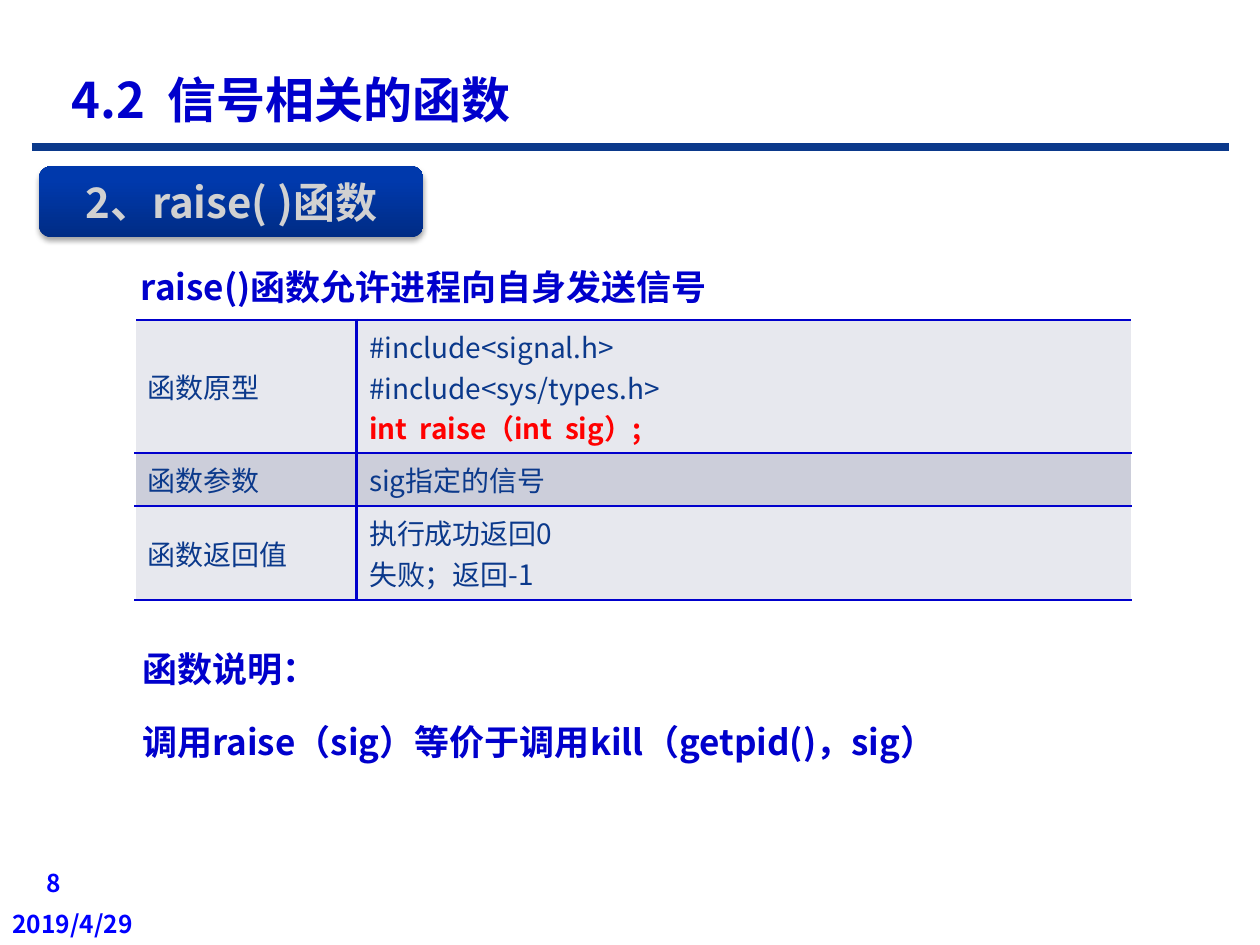
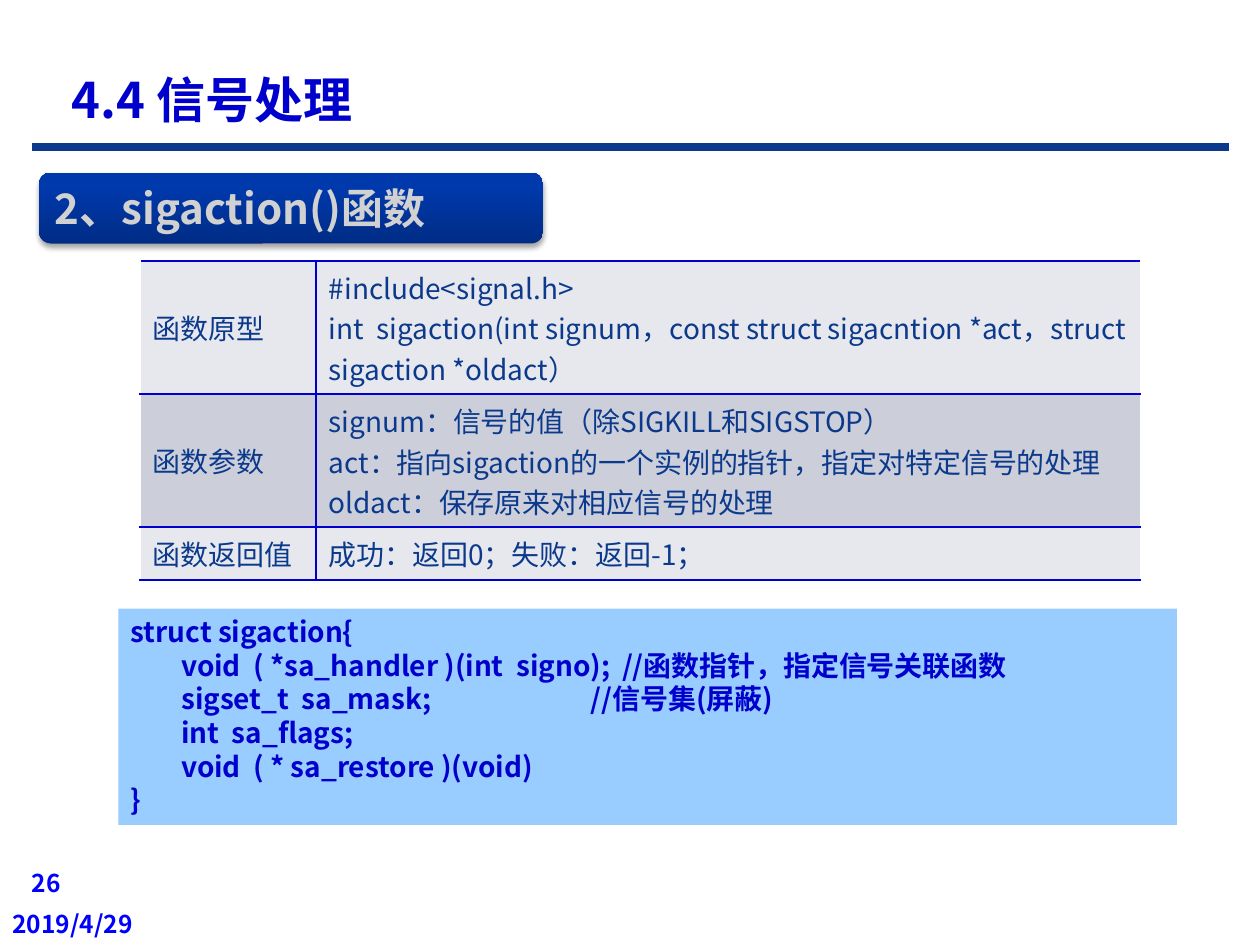
from lxml import etree
from pptx import Presentation
from pptx.dml.color import RGBColor
from pptx.enum.shapes import MSO_CONNECTOR, MSO_SHAPE
from pptx.enum.text import MSO_ANCHOR, PP_ALIGN
from pptx.oxml.ns import qn
from pptx.util import Inches, Pt

LEFT, CENTER, RIGHT = PP_ALIGN.LEFT, PP_ALIGN.CENTER, PP_ALIGN.RIGHT
TOP, MIDDLE, BOTTOM = MSO_ANCHOR.TOP, MSO_ANCHOR.MIDDLE, MSO_ANCHOR.BOTTOM
BODY_FONT, FOOTER_FONT = "Noto Sans CJK SC", "Noto Sans CJK JP"
COLORS = {
    "text": "0000CC", "footer": "0000FF", "navy": "0B398B",
    "badge_text": "D1D1D1", "badge_dark": "002C85", "badge_light": "0039AC",
    "alert": "FF0000", "row_odd": "E7E8EE", "row_even": "CCCEDA",
    "code": "99CCFF", "shadow": "000000",
}

prs = Presentation()
prs.slide_width, prs.slide_height = Inches(10), Inches(7.5)
W, H = prs.slide_width / 100, prs.slide_height / 100


def place(x, y, width, height):
    return [round(v) for v in (x * W, y * H, width * W, height * H)]


def write(frame, lines, size, color, bold=True, font=BODY_FONT, align=LEFT,
          anchor=TOP, wrap=True, spacing=None, before=None):
    frame.word_wrap = wrap
    frame.vertical_anchor = anchor
    for i, line in enumerate(lines):
        paragraph = frame.paragraphs[0] if i == 0 else frame.add_paragraph()
        paragraph.alignment = align
        if spacing:
            paragraph.line_spacing = spacing
            paragraph.space_before = Pt(before)
        run = paragraph.add_run()
        run.text = line
        run.font.size, run.font.bold, run.font.name = Pt(size), bold, font
        run.font.color.rgb = RGBColor.from_string(COLORS[color])
        etree.SubElement(run.font._element, qn("a:ea"), typeface=font)


RAISE_PROTOTYPE = "int  raise（int  sig）;"
topics = [
    {
        "number": "8", "title": "4.2  信号相关的函数",
        "badge": "2、raise( )函数", "badge_at": (3.1, 17.6, 30.5, 7.5),
        "badge_align": CENTER,
        "table_at": (10.7, 33.87), "columns": (17.6, 61.5), "rows": (14.1, 5.6, 9.9),
        "facts": [
            ("函数原型", ["#include<signal.h>", "#include<sys/types.h>", RAISE_PROTOTYPE]),
            ("函数参数", ["sig指定的信号"]),
            ("函数返回值", ["执行成功返回0", "失败；返回-1"]),
        ],
        "remarks": [
            ((10.2, 25.2, 56.8, 8.1), ["raise()函数允许进程向自身发送信号"]),
            ((10.3, 65.6, 70.1, 15.9),
             ["函数说明：", "调用raise（sig）等价于调用kill（getpid()，sig）"]),
        ],
        "code": [],
    },
    {
        "number": "26", "title": "4.4 信号处理",
        "badge": "2、sigaction()函数", "badge_at": (3.1, 18.27, 40, 7.5),
        "badge_align": LEFT,
        "table_at": (11.1, 27.6), "columns": (14, 65.4), "rows": (14.1, 14.1, 5.6),
        "facts": [
            ("函数原型", ["#include<signal.h>",
                      "int  sigaction(int signum，const struct sigacntion *act，"
                      "struct sigaction *oldact）"]),
            ("函数参数", ["signum：信号的值（除SIGKILL和SIGSTOP）",
                      "act：指向sigaction的一个实例的指针，指定对特定信号的处理",
                      "oldact：保存原来对相应信号的处理"]),
            ("函数返回值", ["成功：返回0；失败：返回-1；"]),
        ],
        "remarks": [],
        "code": [
            ("struct sigaction{", ()),
            ("\tvoid  ( *sa_handler )(int  signo);\t//函数指针，指定信号关联函数", (0.4, 3.9)),
            ("\tsigset_t  sa_mask;\t//信号集(屏蔽)", (0.4, 3.65)),
            ("\tint  sa_flags;", (0.4,)),
            ("\tvoid  ( * sa_restore )(void)", (0.4,)),
            ("}", ()),
        ],
    },
]

for topic in topics:
    slide = prs.slides.add_slide(prs.slide_layouts[6])
    shapes = slide.shapes

    date = shapes.add_textbox(*place(0, 95.6, 15, 4.4))
    write(date.text_frame, ["2019/4/29"], 14, "footer", font=FOOTER_FONT, anchor=BOTTOM)
    number = shapes.add_textbox(*place(0, 90, 5.8, 5.6))
    write(number.text_frame, [topic["number"]], 14, "footer", font=FOOTER_FONT,
          align=RIGHT, anchor=BOTTOM)

    x, y, length, _ = place(2.5, 15.6, 95, 0)
    title_rule = shapes.add_connector(MSO_CONNECTOR.STRAIGHT, x, y, x + length, y)
    title_rule.line.width = Pt(4.5)
    title_rule.line.color.rgb = RGBColor.from_string(COLORS["navy"])
    etree.SubElement(title_rule._element.spPr, qn("a:effectLst"))

    badge = shapes.add_shape(MSO_SHAPE.ROUNDED_RECTANGLE, *place(*topic["badge_at"]))
    badge.line.fill.background()
    badge.fill.gradient()
    badge.fill.gradient_angle = 90
    for stop, position, shade in zip(badge.fill.gradient_stops, (0, 0.8),
                                     ("badge_dark", "badge_light")):
        stop.position = position
        stop.color.rgb = RGBColor.from_string(COLORS[shade])
    badge.shadow.inherit = False
    shadow = etree.SubElement(badge._element.spPr.find(qn("a:effectLst")), qn("a:outerShdw"),
                              blurRad=str(Pt(3.1)), dist=str(Pt(1.8)), dir="5400000",
                              rotWithShape="0")
    shadow_color = etree.SubElement(shadow, qn("a:srgbClr"), val=COLORS["shadow"])
    etree.SubElement(shadow_color, qn("a:alpha"), val="35000")
    write(badge.text_frame, [topic["badge"]], 24, "badge_text",
          align=topic["badge_align"], anchor=MIDDLE, wrap=False)

    facts = shapes.add_table(len(topic["facts"]), 2, *place(
        *topic["table_at"], sum(topic["columns"]), sum(topic["rows"]))).table
    facts.first_row = facts.horz_banding = False
    for column, share in zip(facts.columns, topic["columns"]):
        column.width = round(share * W)
    for r, (label, details) in enumerate(topic["facts"]):
        facts.rows[r].height = round(topic["rows"][r] * H)
        for c, lines in enumerate(([label], details)):
            cell = facts.cell(r, c)
            cell.vertical_anchor = TOP if c else MIDDLE
            for side in ("lnL" if c else "lnR", "lnT", "lnB"):
                border = etree.SubElement(cell._tc.get_or_add_tcPr(), qn("a:" + side),
                                          w=str(Pt(1.5)))
                border_fill = etree.SubElement(border, qn("a:solidFill"))
                etree.SubElement(border_fill, qn("a:srgbClr"), val=COLORS["text"])
            cell.fill.solid()
            cell.fill.fore_color.rgb = RGBColor.from_string(
                COLORS["row_even" if r % 2 else "row_odd"])
            write(cell.text_frame, lines, 16, "navy", bold=False,
                  anchor=cell.vertical_anchor)
            for paragraph in cell.text_frame.paragraphs:
                if paragraph.text == RAISE_PROTOTYPE:
                    paragraph.runs[0].font.bold = True
                    paragraph.runs[0].font.color.rgb = RGBColor.from_string(COLORS["alert"])

    for area, lines in topic["remarks"]:
        remark = shapes.add_textbox(*place(*area))
        write(remark.text_frame, lines, 20, "text", spacing=1.5, before=6)

    if topic["code"]:
        struct = shapes.add_shape(MSO_SHAPE.RECTANGLE, *place(9.4, 64.4, 84, 22.9))
        struct.shadow.inherit = False
        struct.fill.solid()
        struct.fill.fore_color.rgb = RGBColor.from_string(COLORS["code"])
        struct.line.fill.background()
        write(struct.text_frame, [line for line, _ in topic["code"]], 16, "text")
        for paragraph, (_, stops) in zip(struct.text_frame.paragraphs, topic["code"]):
            tabs = etree.SubElement(paragraph._p.get_or_add_pPr(), qn("a:tabLst"))
            for stop in stops:
                etree.SubElement(tabs, qn("a:tab"), pos=str(Inches(stop)), algn="l")

    title = shapes.add_textbox(*place(4.7, 6.3, 43.9, 8.3))
    write(title.text_frame, [topic["title"]], 28, "text", anchor=MIDDLE)

prs.save("out.pptx")
